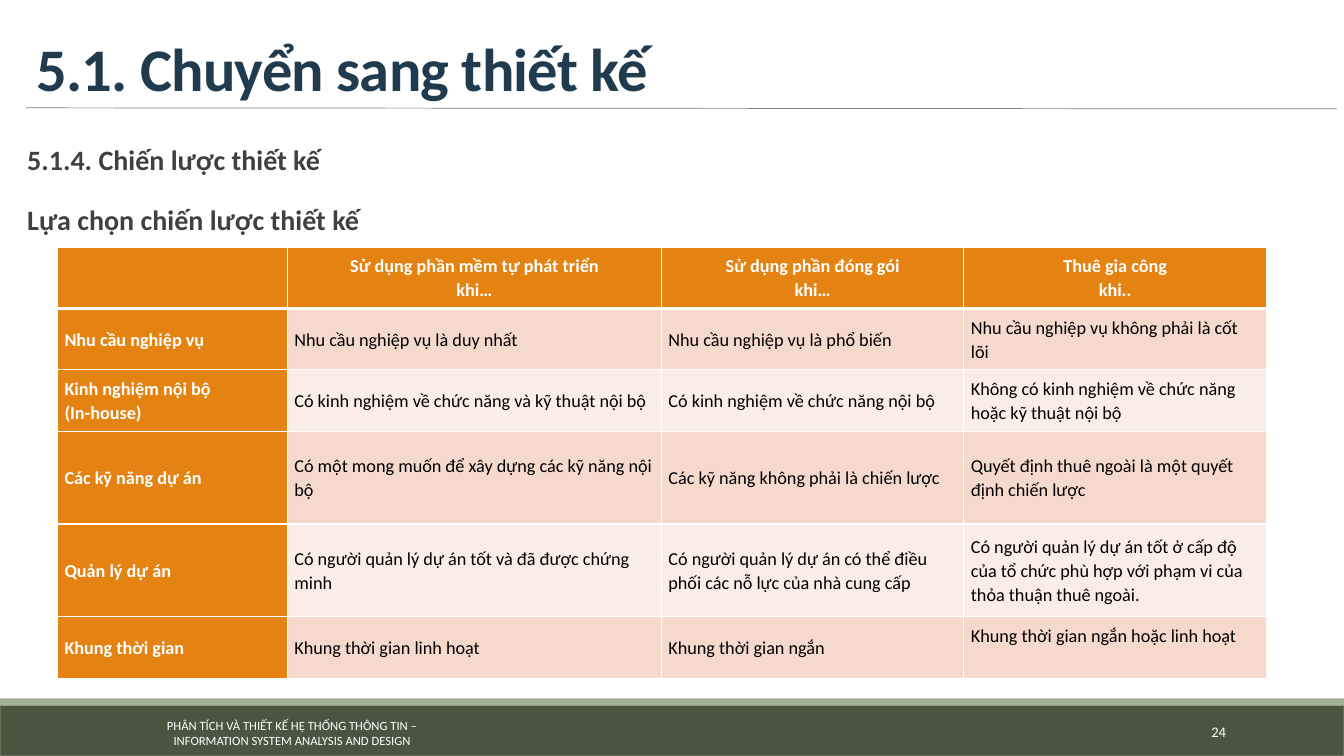
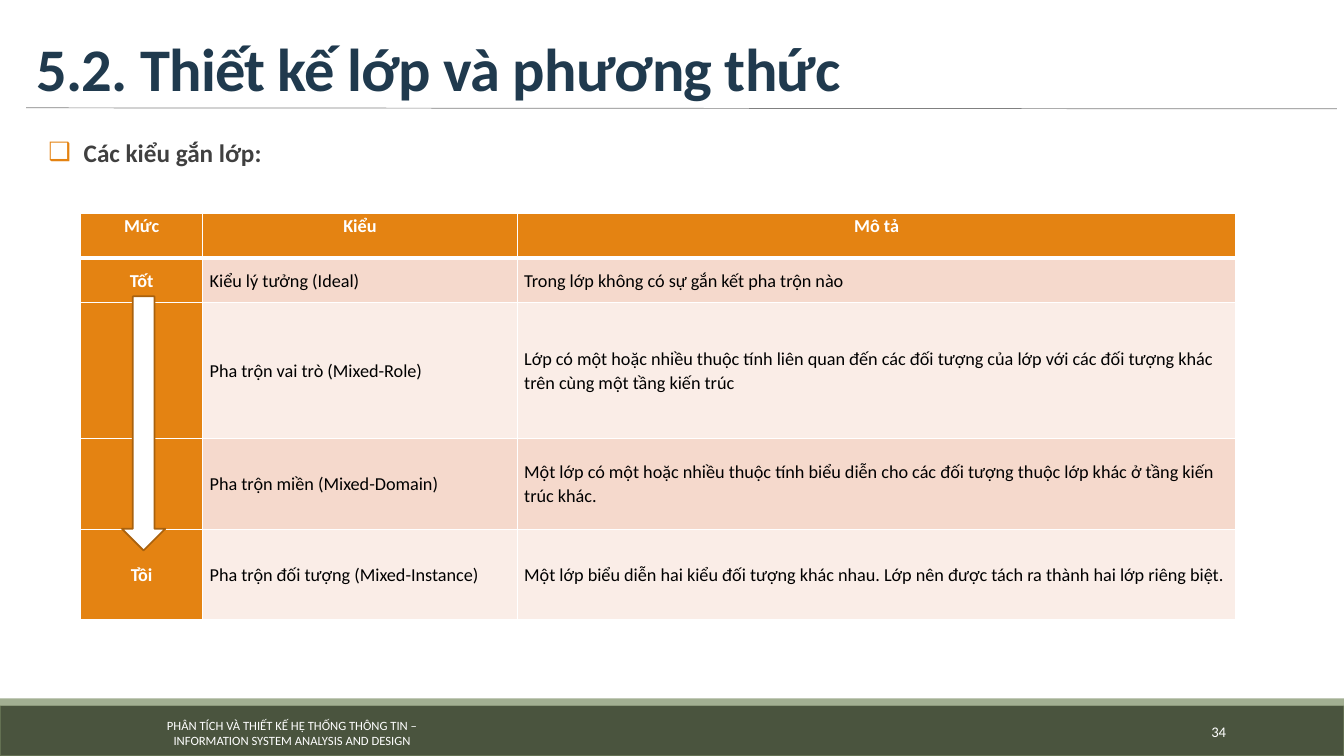
"""Build two slides on system design, each with a styled table."""
from lxml.etree import SubElement as Sub
from pptx import Presentation
from pptx.dml.color import RGBColor as Rgb
from pptx.enum.shapes import MSO_CONNECTOR as Link, MSO_SHAPE as Shape
from pptx.enum.text import MSO_ANCHOR as Anchor, MSO_AUTO_SIZE as Fit, PP_ALIGN as Align
from pptx.oxml import parse_xml as to_xml
from pptx.oxml.ns import nsdecls, qn
from pptx.util import Inches, Pt

HUES = {
    "white": "FFFFFF", "black": "000000", "navy": "203A4E", "text": "404040",
    "moss": "4A543E", "edge": "637052", "sage": "A2AF92", "rule": "808080",
    "accent": "E48312", "brown": "A9610D", "odd": "F5D9CC", "even": "FAEDE7",
}
FONTS = {
    "title": {"size": Pt(43.2), "bold": True},
    "head": {"size": Pt(20), "bold": True},
    "list": {"size": Pt(18), "bold": True},
    "label": {"size": Pt(13), "bold": True},
    "cell": {"size": Pt(13), "bold": False},
    "foot": {"size": Pt(9)},
    "page": {"size": Pt(10.5)},
}
FRAME = {"word_wrap": True, "auto_size": Fit.NONE}
INSET = {"margin_left": 0, "margin_right": 0}
PAD = {"margin_left": Inches(0.07), "margin_right": Inches(0.07),
       "margin_top": 0, "margin_bottom": 0}
FOOT = ["PHÂN TÍCH VÀ THIẾT KẾ HỆ THỐNG THÔNG TIN –",
        "INFORMATION SYSTEM ANALYSIS AND DESIGN"]

PLANS = [
    ["", "Sử dụng phần mềm tự phát triển\nkhi…", "Sử dụng phần đóng gói\nkhi…",
     "Thuê gia công\nkhi.."],
    ["Nhu cầu nghiệp vụ", "Nhu cầu nghiệp vụ là duy nhất",
     "Nhu cầu nghiệp vụ là phổ biến", "Nhu cầu nghiệp vụ không phải là cốt lõi"],
    ["Kinh nghiệm nội bộ\n(In-house)", "Có kinh nghiệm về chức năng và kỹ thuật nội bộ",
     "Có kinh nghiệm về chức năng nội bộ",
     "Không có kinh nghiệm về chức năng hoặc kỹ thuật nội bộ"],
    ["Các kỹ năng dự án", "Có một mong muốn để xây dựng các kỹ năng nội bộ",
     "Các kỹ năng không phải là chiến lược",
     "Quyết định thuê ngoài là một quyết định chiến lược"],
    ["Quản lý dự án", "Có người quản lý dự án tốt và đã được chứng minh",
     "Có người quản lý dự án có thể điều phối các nỗ lực của nhà cung cấp",
     "Có người quản lý dự án tốt ở cấp độ của tổ chức phù hợp với phạm vi của "
     "thỏa thuận thuê ngoài."],
    ["Khung thời gian", "Khung thời gian linh hoạt", "Khung thời gian ngắn",
     "Khung thời gian ngắn hoặc linh hoạt"],
]
KINDS = [
    ["Mức", "Kiểu", "Mô tả"],
    ["Tốt", "Kiểu lý tưởng (Ideal)", "Trong lớp không có sự gắn kết pha trộn nào"],
    ["", "Pha trộn vai trò (Mixed-Role)",
     "Lớp có một hoặc nhiều thuộc tính liên quan đến các đối tượng của lớp với các "
     "đối tượng khác trên cùng một tầng kiến trúc"],
    ["", "Pha trộn miền (Mixed-Domain)",
     "Một lớp có một hoặc nhiều thuộc tính biểu diễn cho các đối tượng thuộc lớp khác "
     "ở tầng kiến trúc khác."],
    ["Tồi", "Pha trộn đối tượng (Mixed-Instance)",
     "Một lớp biểu diễn hai kiểu đối tượng khác nhau. Lớp nên được tách ra thành hai "
     "lớp riêng biệt."],
]


def hue(name):
    return Rgb.from_string(HUES[name])


def apply(thing, form):
    for key, val in form.items():
        setattr(thing, key, val)


def place(shape, *at):
    apply(shape, dict(zip(("left", "top", "width", "height"), map(Inches, at))))


class Deck:
    def __init__(self):
        self.show = Presentation()
        apply(self.show, {"slide_width": Inches(13.33), "slide_height": Inches(7.5)})
        self.page = None

    def put(self, frame, lines, font, tint, form):
        for n, line in enumerate(lines):
            para = frame.add_paragraph() if n else frame.paragraphs[0]
            apply(para, form)
            run = para.add_run()
            run.text = line
            apply(run.font, {"name": "Calibri", **FONTS[font]})
            run.font.color.rgb = hue(tint)

    def start(self, title, num):
        self.page = self.show.slides.add_slide(self.show.slide_layouts[1])
        self.block(Shape.RECTANGLE, (0, 7, 13.33, 0.5), "moss", "edge")
        self.block(Shape.RECTANGLE, (0, 6.93, 13.33, 0.07), "sage")
        self.rule(0.26, 1.07, 13.26, 1.08)
        self.label(FOOT, (1.12, 7.11, 3.55, 0.32), "foot", Align.CENTER)
        self.label([num], (10.83, 7.06, 1.43, 0.4), "page", Align.RIGHT)
        head = self.page.shapes.title
        place(head, 0.26, 0.31, 13, 0.77)
        frame = head.text_frame
        apply(frame, {**FRAME, "vertical_anchor": Anchor.BOTTOM})
        self.put(frame, [title], "title", "navy",
                 {"alignment": Align.LEFT, "line_spacing": 0.85})
        frame.paragraphs[0].runs[0].font._element.set("spc", "-50")

    def block(self, kind, at, fill, edge=None):
        shape = self.page.shapes.add_shape(kind, *map(Inches, at))
        shape.shadow.inherit = False
        shape.fill.solid()
        shape.fill.fore_color.rgb = hue(fill)
        if edge:
            shape.line.color.rgb = hue(edge)
            shape.line.width = Pt(1.25)
        else:
            shape.line.fill.background()

    def rule(self, *ends):
        line = self.page.shapes.add_connector(Link.STRAIGHT, *map(Inches, ends))
        line.line.color.rgb = hue("rule")
        line.line.width = Pt(0.5)
        Sub(line._element.spPr, qn("a:effectLst"))

    def label(self, lines, at, font, align):
        frame = self.page.shapes.add_textbox(*map(Inches, at)).text_frame
        apply(frame, {**FRAME, "vertical_anchor": Anchor.MIDDLE})
        self.put(frame, lines, font, "white", {"alignment": align})

    def body(self, lines, at, font, after, left, hang=0, mark=None):
        shape = self.page.placeholders[1]
        place(shape, *at)
        frame = shape.text_frame
        apply(frame, {**FRAME, **INSET, "vertical_anchor": Anchor.TOP})
        self.put(frame, lines, font, "text",
                 {"level": 1 if mark else 0, "line_spacing": 1.2,
                  "space_before": Pt(12), "space_after": Pt(after)})
        for para in frame.paragraphs:
            props = para._p.get_or_add_pPr()
            props.set("marL", str(Inches(left)))
            props.set("indent", str(Inches(-hang)))
            if mark:
                tint = Sub(props, qn("a:buClr"))
                Sub(tint, qn("a:srgbClr"), val=HUES["accent"])
                Sub(props, qn("a:buChar"), char=mark)
            else:
                Sub(props, qn("a:buNone"))

    def border(self, cell, row):
        wide = {"L": 1, "R": 1, "T": 3 if row == 1 else 1, "B": 1 if row else 3}
        props = cell._tc.get_or_add_tcPr()
        for n, (side, size) in enumerate(wide.items()):
            props.insert(n, to_xml(
                f'<a:ln{side} {nsdecls("a")} w="{Pt(size)}"><a:solidFill>'
                f'<a:srgbClr val="{HUES["white"]}"/></a:solidFill></a:ln{side}>'))

    def table(self, data, at, cols, rows, top=Anchor.MIDDLE, side=Align.LEFT):
        area = (*at, sum(cols), sum(rows))
        grid = self.page.shapes.add_table(len(rows), len(cols), *map(Inches, area)).table
        apply(grid, {"first_row": False, "horz_banding": False})
        for col, wide in zip(grid.columns, cols):
            col.width = Inches(wide)
        for row, high in zip(grid.rows, rows):
            row.height = Inches(high)
        for r, line in enumerate(data):
            for c, text in enumerate(line):
                cell = grid.cell(r, c)
                key = r == 0 or c == 0
                apply(cell, {**PAD, "vertical_anchor": Anchor.MIDDLE if r else top})
                cell.fill.solid()
                cell.fill.fore_color.rgb = hue("accent" if key else "odd" if r % 2 else "even")
                self.border(cell, r)
                align = Align.CENTER if r == 0 else side if c == 0 else Align.LEFT
                if text:
                    self.put(cell.text_frame, text.split("\n"),
                             "label" if key else "cell", "white" if key else "black",
                             {"alignment": align, "line_spacing": 1.07})
        return grid


def main():
    deck = Deck()
    deck.start("5.1. Chuyển sang thiết kế", "24")
    deck.body(["5.1.4. Chiến lược thiết kế", "Lựa chọn chiến lược thiết kế"],
              (0.17, 1.3, 12.64, 5.45), "head", 2, 0.1)
    grid = deck.table(PLANS, (0.57, 2.45), (2.28, 3.71, 3, 3),
                      (0.61, 0.61, 0.61, 0.92, 0.92, 0.61))
    grid.cell(5, 3).margin_bottom = Inches(0.23)

    deck.start("5.2. Thiết kế lớp và phương thức", "34")
    deck.body(["Các kiểu gắn lớp:"], (0.26, 1.25, 12.8, 5.61), "list", 4, 0.57, 0.35, "❑")
    deck.table(KINDS, (0.8, 2.12), (1.21, 3.12, 7.13), (0.44, 0.44, 1.35, 0.9, 0.9),
               Anchor.TOP, Align.CENTER)
    deck.block(Shape.DOWN_ARROW, (1.21, 2.94, 0.43, 2.52), "white", "brown")
    deck.show.save("out.pptx")


if __name__ == "__main__":
    main()
